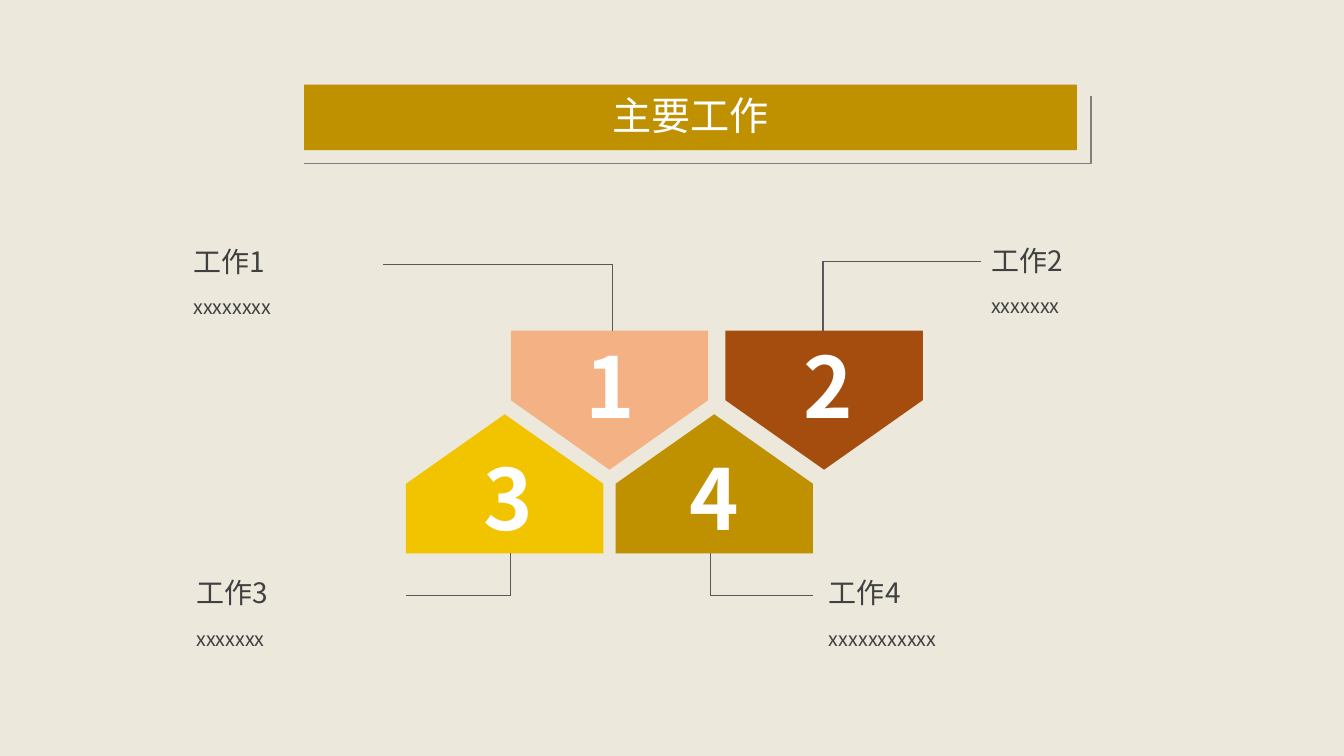
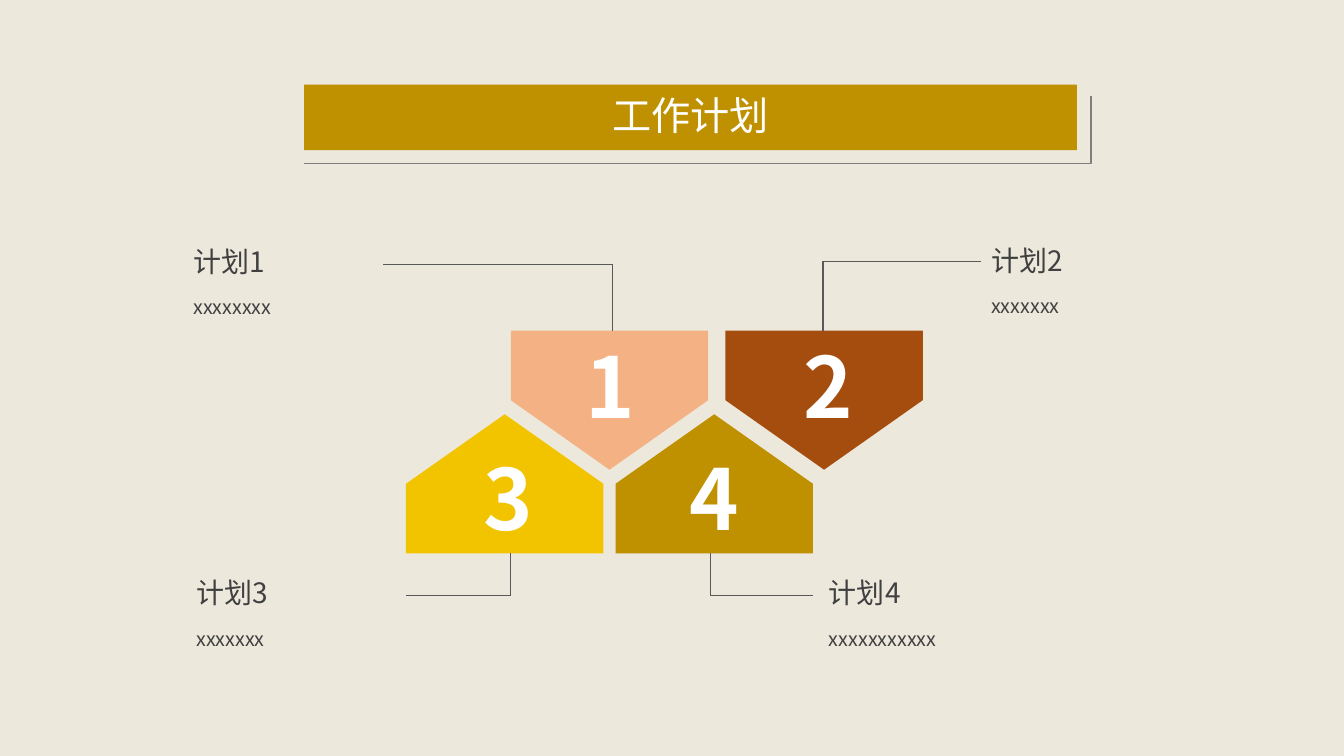
from dataclasses import dataclass

import lxml.etree
import pptx
import pptx.dml.color
import pptx.enum.shapes
import pptx.enum.text
import pptx.oxml.ns
import pptx.util

Inches = pptx.util.Inches
Pt = pptx.util.Pt
RGBColor = pptx.dml.color.RGBColor
Align = pptx.enum.text.PP_ALIGN

CREAM = RGBColor(0xEC, 0xE8, 0xDC)
GOLD = RGBColor(0xBF, 0x90, 0x00)
YELLOW = RGBColor(0xF2, 0xC4, 0x00)
PEACH = RGBColor(0xF4, 0xB1, 0x83)
RUST = RGBColor(0xA5, 0x4C, 0x0F)
WHITE = RGBColor(0xFF, 0xFF, 0xFF)
INK = RGBColor(0x40, 0x40, 0x40)
LEADER_GRAY = RGBColor(0x59, 0x59, 0x59)
EDGE_GRAY = RGBColor(0x7F, 0x7F, 0x7F)

FONT = "Noto Sans CJK SC"
TITLE_STYLE = {"size": Pt(28), "bold": False, "color": WHITE}
NUMBER_STYLE = {"size": Pt(60), "bold": True, "color": WHITE}
HEADING_STYLE = {"size": Pt(20), "bold": False, "color": INK}
NOTE_STYLE = {"size": Pt(14), "bold": False, "color": INK}

HOUSE_WIDTH = 1.96
TITLES = {"主要工作": "工作", "工作计划": "计划"}


@dataclass(frozen=True)
class Row:
    base: float
    tip: float
    number_top: float
    note_gap: float


@dataclass(frozen=True)
class Item:
    number: int
    row: Row
    color: RGBColor
    house_left: float
    number_left: float
    heading_left: float
    heading_top: float
    stem_x: float
    arm_y: float
    arm_end: float
    note: str


UPPER = Row(base=3.28, tip=4.66, number_top=3.27, note_gap=0.5)
LOWER = Row(base=5.49, tip=4.11, number_top=4.38, note_gap=0.51)
ITEMS = (
    Item(1, UPPER, PEACH, 5.07, 5.71, 1.82, 2.38, 6.08, 2.62, 3.8, "xxxxxxxx"),
    Item(2, UPPER, RUST, 7.2, 7.88, 9.74, 2.37, 8.17, 2.59, 9.74, "xxxxxxx"),
    Item(3, LOWER, YELLOW, 4.03, 4.7, 1.85, 5.66, 5.07, 5.91, 4.03, "xxxxxxx"),
    Item(4, LOWER, GOLD, 6.11, 6.75, 8.13, 5.66, 7.05, 5.91, 8.07, "xxxxxxxxxxx"),
)


def write(shape, text: str, style: dict, align=Align.LEFT) -> None:
    frame = shape.text_frame
    frame_format = {
        "word_wrap": True,
        "vertical_anchor": pptx.enum.text.MSO_ANCHOR.TOP,
        "auto_size": pptx.enum.text.MSO_AUTO_SIZE.SHAPE_TO_FIT_TEXT,
    }
    for attribute, value in frame_format.items():
        setattr(frame, attribute, value)
    paragraph = frame.paragraphs[0]
    paragraph.alignment = align
    run = paragraph.add_run()
    run.text = text
    run.font.name = FONT
    for attribute, value in style.items():
        if attribute == "color":
            run.font.color.rgb = value
        else:
            setattr(run.font, attribute, value)
    properties = run._r.get_or_add_rPr()
    lxml.etree.SubElement(properties, pptx.oxml.ns.qn("a:ea"), typeface=FONT)


def add_text(slide, left: float, top: float, width: float, height: float,
             text: str, style: dict):
    box = slide.shapes.add_textbox(
        Inches(left), Inches(top), Inches(width), Inches(height))
    write(box, text, style)
    return box


def add_outline(slide, points: list, close: bool):
    corners = [(Inches(x), Inches(y)) for x, y in points]
    builder = slide.shapes.build_freeform(*corners[0])
    builder.add_line_segments(corners[1:], close=close)
    outline = builder.convert_to_shape()
    outline.shadow.inherit = False
    return outline


def add_leader(slide, start: tuple, end: tuple, weight: float):
    leader = slide.shapes.add_connector(
        pptx.enum.shapes.MSO_CONNECTOR.STRAIGHT,
        *(Inches(length) for length in start + end))
    leader.line.color.rgb = LEADER_GRAY
    leader.line.width = Pt(weight)
    lxml.etree.SubElement(
        leader.element.spPr, pptx.oxml.ns.qn("a:effectLst"))
    return leader


def add_title(slide, text: str) -> None:
    band = slide.shapes.add_shape(
        pptx.enum.shapes.MSO_SHAPE.RECTANGLE,
        Inches(3.02), Inches(0.84), Inches(7.67), Inches(0.65))
    band.shadow.inherit = False
    band.fill.solid()
    band.fill.fore_color.rgb = GOLD
    band.line.fill.background()
    edge = add_outline(
        slide, [(3.02, 1.62), (10.83, 1.62), (10.83, 0.95)], close=False)
    edge.fill.background()
    edge.line.color.rgb = EDGE_GRAY
    edge.line.width = Pt(1)
    title = slide.shapes.title
    place = {"left": 4.33, "top": 0.86, "width": 5.05, "height": 0.57}
    for attribute, value in place.items():
        setattr(title, attribute, Inches(value))
    write(title, text, TITLE_STYLE, Align.CENTER)
    edge.element.addnext(title.element)


def add_house(slide, item: Item) -> None:
    row = item.row
    left, right = item.house_left, item.house_left + HOUSE_WIDTH
    shoulder = (row.base + row.tip) / 2
    house = add_outline(slide, [
        (left, shoulder), ((left + right) / 2, row.tip), (right, shoulder),
        (right, row.base), (left, row.base)], close=True)
    house.fill.solid()
    house.fill.fore_color.rgb = item.color
    house.line.fill.background()
    add_text(slide, item.number_left, row.number_top, 0.74, 1.1,
             str(item.number), NUMBER_STYLE)


def add_caption(slide, item: Item, word: str) -> None:
    heading = add_text(slide, item.heading_left, item.heading_top, 2.19, 0.44,
                       f"{word}{item.number}", HEADING_STYLE)
    add_text(slide, item.heading_left, item.heading_top + item.row.note_gap,
             3.03, 0.34, item.note, NOTE_STYLE)
    elbow = (item.stem_x, item.arm_y)
    add_leader(slide, (item.stem_x, item.row.base), elbow, 1)
    arm = add_leader(slide, elbow, (item.arm_end, item.arm_y), 0.5)
    if item.arm_end == item.heading_left:
        arm.end_connect(heading, 1)


def main() -> None:
    deck = pptx.Presentation()
    deck.slide_width = Inches(13.34)
    deck.slide_height = Inches(7.5)
    background = deck.slide_master.background.fill
    background.solid()
    background.fore_color.rgb = CREAM
    for title, word in TITLES.items():
        slide = deck.slides.add_slide(deck.slide_layouts[5])
        add_title(slide, title)
        for item in ITEMS:
            add_house(slide, item)
            add_caption(slide, item, word)
    deck.save("out.pptx")


if __name__ == "__main__":
    main()
